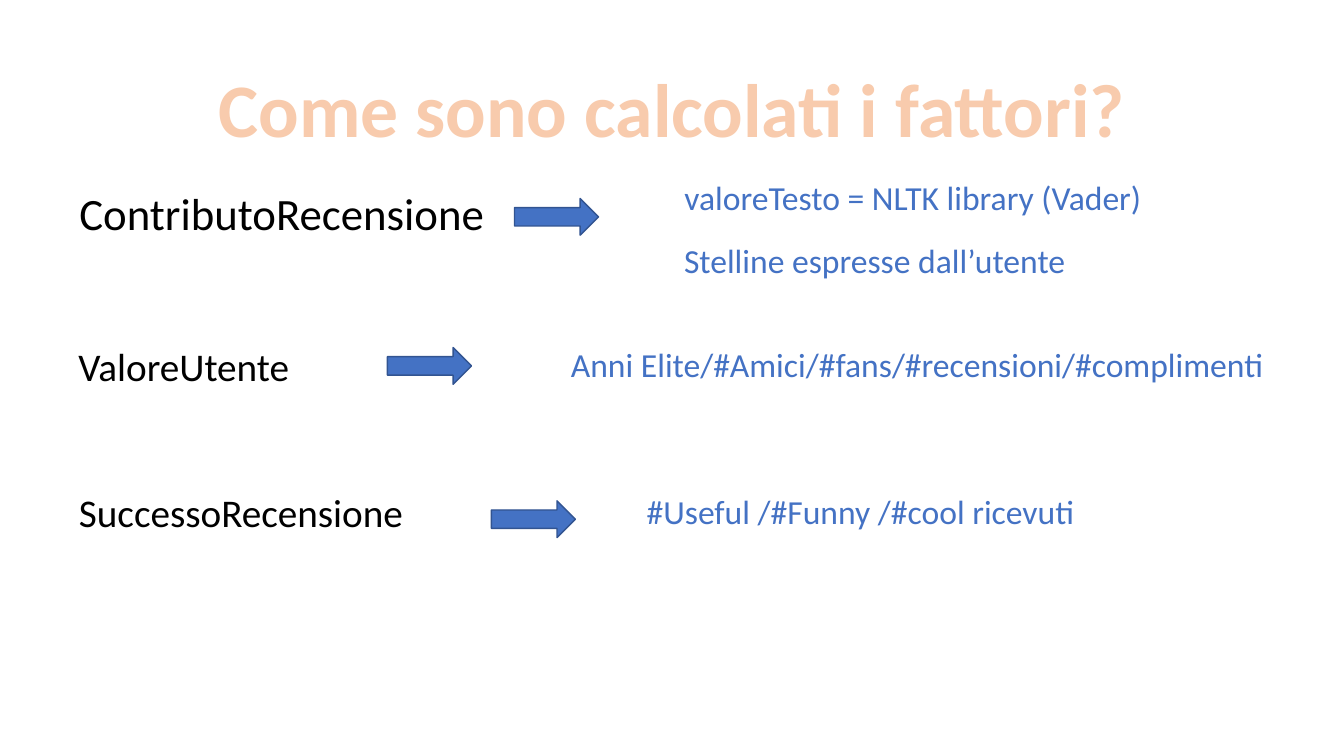
from lxml.etree import SubElement
from pptx import Presentation
from pptx.dml.color import RGBColor
from pptx.enum.shapes import MSO_SHAPE as Shape
from pptx.enum.text import MSO_AUTO_SIZE as AutoSize, PP_ALIGN as Align
from pptx.oxml.ns import qn
from pptx.util import Emu, Pt

# Content: (text, (left, top, width, height)) in px
TITLE = ("Come sono calcolati i fattori?", (193, 54, 894, 97))
FACTORS = [
    {"name": ("ContributoRecensione", (64, 172, 409, 61)), "size": 32,
     "arrow": (490, 189),
     "sources": [("valoreTesto = NLTK library (Vader)", (640, 164, 459, 48)),
                 ("Stelline espresse dall’utente", (640, 224, 386, 48))]},
    {"name": ("ValoreUtente", (64, 321, 222, 55)), "size": 28,
     "arrow": (369, 331),
     "sources": [("Anni Elite/#Amici/#fans/#recensioni/#complimenti",
                  (531, 323, 685, 48))]},
    {"name": ("SuccessoRecensione", (64, 460, 331, 55)), "size": 28,
     "arrow": (468, 477),
     "sources": [("#Useful /#Funny /#cool ricevuti", (604, 463, 431, 48))]},
]
ARROW_SIZE = (80, 35)
BLACK, BLUE, DARK_BLUE = "000000", "4472C4", "325491"
PEACH, ORANGE = "F8CBAD", "ED7D31"
EMU_PER_PX = 9525


def px(*lengths):
    return [Emu(length * EMU_PER_PX) for length in lengths]


def color(value):
    return RGBColor.from_string(value)


def add_text(slide, text, box, size=24, fill=BLUE, bold=False, outline=None):
    shape = slide.shapes.add_textbox(*px(*box))
    frame = shape.text_frame
    frame.word_wrap = False
    frame.auto_size = AutoSize.SHAPE_TO_FIT_TEXT
    paragraph = frame.paragraphs[0]
    paragraph.alignment = Align.CENTER
    run = paragraph.add_run()
    run.text = text
    font = run.font
    font.name, font.size, font.bold = "Calibri", Pt(size), bold
    font.color.rgb = color(fill)
    if outline:
        properties = run._r.get_or_add_rPr()
        line = SubElement(properties, qn("a:ln"), w=str(Pt(1.75)))
        solid = SubElement(line, qn("a:solidFill"))
        SubElement(solid, qn("a:srgbClr"), val=outline)
        properties.insert(0, line)


def add_arrow(slide, corner):
    shape = slide.shapes.add_shape(Shape.RIGHT_ARROW, *px(*corner, *ARROW_SIZE))
    shape.shadow.inherit = False
    shape.fill.solid()
    shape.fill.fore_color.rgb = color(BLUE)
    shape.line.color.rgb = color(DARK_BLUE)
    shape.line.width = Pt(1)


def main():
    presentation = Presentation()
    presentation.slide_width, presentation.slide_height = px(1280, 720)
    slide = presentation.slides.add_slide(presentation.slide_layouts[6])

    # Title
    add_text(slide, *TITLE, size=54, fill=PEACH, bold=True, outline=ORANGE)

    # Factor names and what each is computed from
    for factor in FACTORS:
        add_text(slide, *factor["name"], size=factor["size"], fill=BLACK)
        for source in factor["sources"]:
            add_text(slide, *source)

    # Arrows from name to sources
    for factor in FACTORS:
        add_arrow(slide, factor["arrow"])

    presentation.save("out.pptx")


if __name__ == "__main__":
    main()
